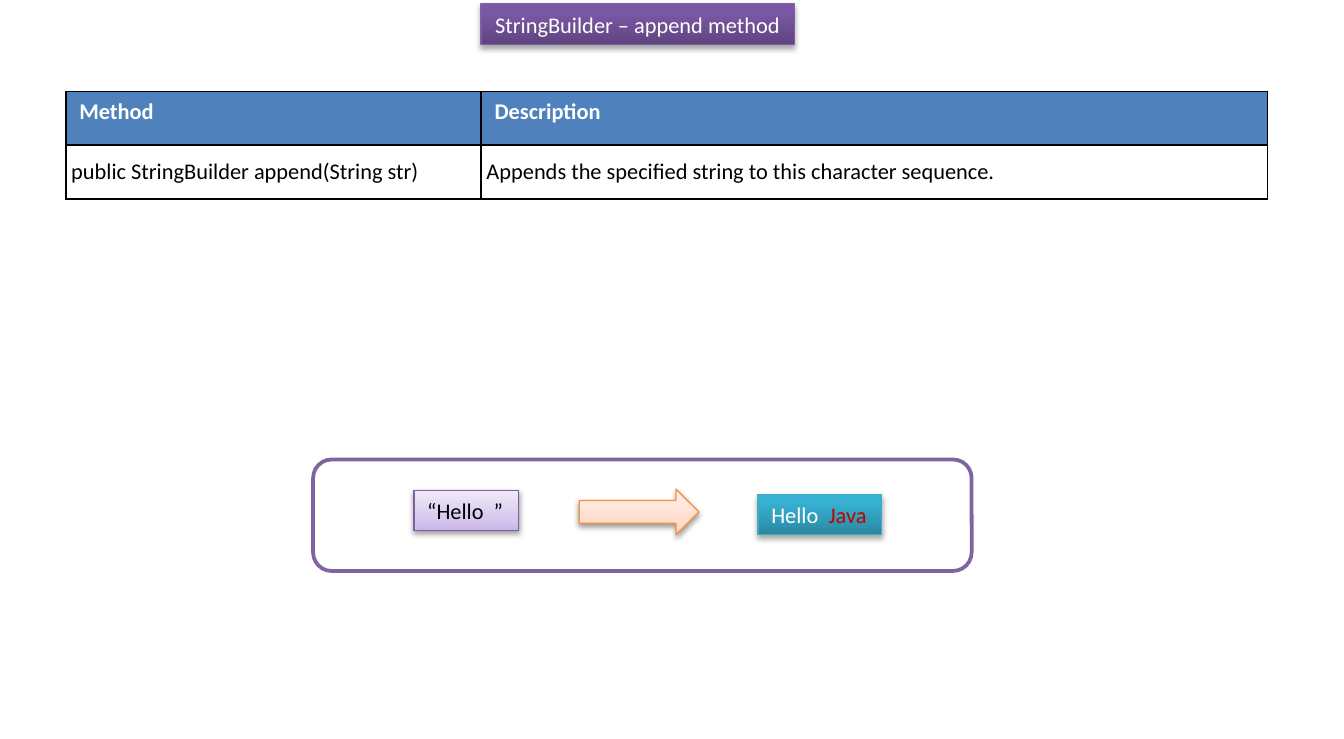
from lxml import etree
from pptx import Presentation
from pptx.dml.color import RGBColor
from pptx.enum import shapes, text
from pptx.oxml.ns import qn
from pptx.util import Inches, Pt

COLORS = {
    "white": "FFFFFF", "black": "000000", "red": "C00000", "header": "4F81BD",
    "frame": "8064A2", "purple": "7D60A0", "teal": "46AAC5", "orange": "F69240",
}
GRADIENTS = {
    "title": [(0, "5F4480"), (80, "7B58A6"), (100, "7C57A8")],
    "before": [(0, "C9B5E8"), (35, "D8CBEE"), (100, "F0EAF9")],
    "after": [(0, "2A88A2"), (80, "37B1D2"), (100, "34B4D6")],
    "arrow": [(0, "FFD2BD"), (35, "FFDED0"), (100, "FFF2ED")],
}
STRONG_SHADOW = (1.8, 35)
SOFT_SHADOW = (1.6, 38)

TITLE = [("StringBuilder – append method", "white")]
ROWS = [
    ("Method", "Description"),
    ("public StringBuilder append(String str)",
     "Appends the specified string to this character sequence."),
]
COLUMN_WIDTHS = (3.09, 5.85)
ROW_HEIGHT = 0.4
FRAME_BOX = (2.33, 3.42, 4.9, 0.83)
TITLE_BOX = (3.58, 0.03, 2.33, 0.3)
FLOW = [
    ("RECTANGLE", (3.08, 3.65, 0.78, 0.3), "before", "purple", SOFT_SHADOW,
     [("“Hello  ”", "black")]),
    ("RECTANGLE", (5.64, 3.68, 0.92, 0.3), "after", "teal", STRONG_SHADOW,
     [("Hello  ", "white"), ("Java", "red")]),
    ("RIGHT_ARROW", (4.31, 3.64, 0.89, 0.34), "arrow", "orange", SOFT_SHADOW, []),
]


def rgb(name):
    return RGBColor.from_string(COLORS[name])


def add_runs(paragraph, runs, bold=False):
    for words, color in runs:
        run = paragraph.add_run()
        run.text = words
        run.font.name = "Calibri"
        run.font.size = Pt(12)
        run.font.bold = bold
        run.font.color.rgb = rgb(color)


def add_color(parent, value):
    return etree.SubElement(parent, qn("a:srgbClr"), val=value)


def style_shape(shape, gradient, line, shadow):
    shape.fill.gradient()
    shape.fill.gradient_angle = 90
    shape.line.color.rgb = rgb(line)
    shape.line.width = Pt(0.75)
    shape.shadow.inherit = False
    properties = shape._element.spPr
    stops = properties.find(qn("a:gradFill")).find(qn("a:gsLst"))
    for stop in list(stops):
        stops.remove(stop)
    for position, color in GRADIENTS[gradient]:
        stop = etree.SubElement(stops, qn("a:gs"), pos=str(position * 1000))
        add_color(stop, color)
    distance, opacity = shadow
    outer = etree.SubElement(
        properties.find(qn("a:effectLst")), qn("a:outerShdw"),
        blurRad=str(Pt(3.1)), dist=str(Pt(distance)), dir="5400000", rotWithShape="0")
    etree.SubElement(add_color(outer, COLORS["black"]), qn("a:alpha"),
                     val=str(opacity * 1000))


def fill_text(shape, runs, alignment, wrap):
    frame = shape.text_frame
    frame.word_wrap = wrap
    frame.auto_size = text.MSO_AUTO_SIZE.NONE
    frame.vertical_anchor = text.MSO_ANCHOR.TOP
    frame.paragraphs[0].alignment = alignment
    add_runs(frame.paragraphs[0], runs)


def add_borders(cell):
    properties = cell._tc.get_or_add_tcPr()
    for index, side in enumerate(("lnL", "lnR", "lnT", "lnB")):
        border = etree.Element(qn(f"a:{side}"), w=str(Pt(1)))
        add_color(etree.SubElement(border, qn("a:solidFill")), COLORS["black"])
        properties.insert(index, border)


def add_method_table(slide):
    table = slide.shapes.add_table(
        len(ROWS), len(COLUMN_WIDTHS), Inches(0.49), Inches(0.68),
        Inches(sum(COLUMN_WIDTHS)), Inches(ROW_HEIGHT * len(ROWS))).table
    for column, width in zip(table.columns, COLUMN_WIDTHS):
        column.width = Inches(width)
    for row_index, row in enumerate(ROWS):
        header = row_index == 0
        table.rows[row_index].height = Inches(ROW_HEIGHT)
        for column_index, words in enumerate(row):
            cell = table.cell(row_index, column_index)
            cell.fill.solid()
            cell.fill.fore_color.rgb = rgb("header" if header else "white")
            if not header:
                cell.vertical_anchor = text.MSO_ANCHOR.MIDDLE
                cell.margin_left = cell.margin_right = Inches(0.04)
                cell.margin_top = cell.margin_bottom = Inches(0.04)
            add_runs(cell.text_frame.paragraphs[0],
                     [(words, "white" if header else "black")], header)
            add_borders(cell)


def main():
    presentation = Presentation()
    presentation.slide_width = Inches(10)
    presentation.slide_height = Inches(5.5)
    slide = presentation.slides.add_slide(presentation.slide_layouts[5])

    title = slide.shapes.title
    title.left, title.top, title.width, title.height = map(Inches, TITLE_BOX)
    style_shape(title, "title", "purple", STRONG_SHADOW)
    fill_text(title, TITLE, text.PP_ALIGN.CENTER, True)

    frame = slide.shapes.add_shape(
        shapes.MSO_SHAPE.ROUNDED_RECTANGLE, *map(Inches, FRAME_BOX))
    frame.fill.solid()
    frame.fill.fore_color.rgb = rgb("white")
    frame.line.color.rgb = rgb("frame")
    frame.line.width = Pt(2)
    frame.shadow.inherit = False

    add_method_table(slide)

    for kind, box, gradient, line, shadow, runs in FLOW:
        shape = slide.shapes.add_shape(shapes.MSO_SHAPE[kind], *map(Inches, box))
        style_shape(shape, gradient, line, shadow)
        if runs:
            fill_text(shape, runs, text.PP_ALIGN.LEFT, False)

    presentation.save("out.pptx")


if __name__ == "__main__":
    main()
